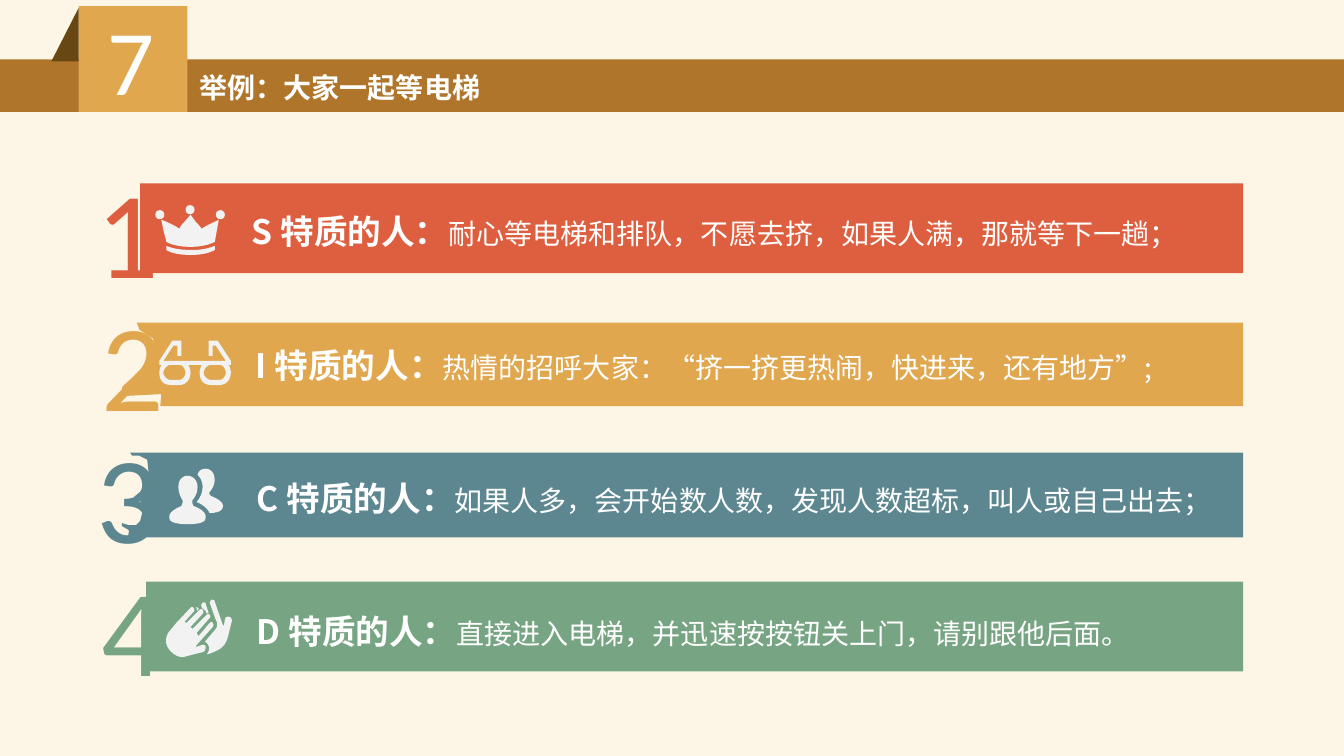
import pptx
import pptx.dml.color
import pptx.enum.shapes
import pptx.enum.text
import pptx.oxml.ns
import pptx.util
from lxml import etree

PX = 9144  # EMU per px, 100 px to the inch
SHAPE = pptx.enum.shapes.MSO_SHAPE
LATIN, CJK = "Calibri", "Noto Sans CJK SC"
WHITE, ICON = "FFFFFF", "F2F2F2"
CURVE_STEPS = 6

# Icon outlines, in px from the icon's top left
CROWN = """
M30 4 C30 -2 39 -2 39 4 C39 10 30 10 30 4 Z M0 9 C0 3 9 3 9 9 C9 15 0 15 0 9 Z
M60 9 C60 3 69 3 69 9 C69 15 60 15 60 9 Z
M6 14 L11 16 C15 18 20 20 24 23 C25 20 27 18 29 16 L35 9 L40 16 C42 18 44 20 46 23
C50 20 55 18 59 16 L63 14 L62 19 C61 25 60 31 59 36 C59 36 50 41 35 41
C19 41 11 36 11 36 C10 31 8 25 7 19 Z
M11 40 C18 43 27 44 35 44 C42 44 48 44 59 40 L59 44 C59 44 52 49 35 49 C17 49 11 44 11 44 Z"""
GLASSES = """
M4 32 C4 35 8 39 11 39 L20 39 C23 39 26 35 26 32 C26 28 23 24 20 24 L11 24 C8 24 4 28 4 32 Z
M44 32 C44 35 48 39 51 39 L60 39 C63 39 66 35 66 32 C66 28 63 24 60 24 L51 24 C48 24 44 28 44 32 Z
M4 20 L66 20 L56 5 L53 5 L53 15 L49 15 L49 0 L58 0 L71 20 L71 24 L69 24
C70 27 71 29 71 32 C71 39 66 44 60 44 L51 44 C44 44 40 39 40 32 C40 29 41 27 42 24
L29 24 C30 27 31 29 31 32 C31 39 26 44 20 44 L11 44 C4 44 0 39 0 32 C0 29 1 27 2 24
L0 24 L0 20 L13 0 L22 0 L22 15 L18 15 L18 5 L14 5 Z"""
PEOPLE = """
M24 37 C24 36 22 35 23 31 C26 28 28 23 28 18 C28 11 23 7 18 7 C13 7 9 11 9 18
C9 23 11 28 13 31 C14 34 12 36 12 37 C7 39 0 43 0 47 L0 49 C0 54 10 55 18 55
C27 55 36 54 36 49 L36 47 C36 43 30 39 24 37 Z
M41 27 C41 26 39 26 40 23 C43 20 45 15 45 11 C45 4 41 0 36 0 C32 0 29 2 28 6
C31 9 33 13 33 18 C33 24 30 30 27 33 C32 35 38 39 40 44 C47 44 53 42 53 38
L53 36 C53 33 47 29 41 27 Z"""
HANDS = """
M37 9 C39 10 41 12 41 14 L43 13 L40 4 C40 3 39 2 37 3 C36 4 35 5 36 7 Z
M31 8 C31 9 31 10 32 11 L33 9 C33 8 31 7 30 8 Z
M62 37 L66 21 C66 19 65 17 63 17 C61 16 59 18 59 20 L58 26 L57 25 L49 2
C49 0 47 0 46 0 C45 1 44 2 44 3 L50 20 C52 23 52 26 50 29 L39 42
C41 42 42 44 43 46 C44 49 43 52 41 54 C43 54 46 53 50 51 C57 48 60 44 62 37 Z
M40 47 C40 45 38 44 36 45 L30 47 L31 45 L47 27 C48 26 48 24 47 23 C47 22 45 22 44 23
L33 36 C32 35 32 34 31 33 L44 18 C45 17 45 16 44 15 C43 14 42 14 41 15 L27 29 L25 27
L37 14 C38 13 38 11 37 10 C36 9 35 9 34 10 L21 23 L19 22 L28 12 C29 11 29 9 28 8
C27 7 26 7 25 8 L10 24 L6 29 C0 35 -2 43 5 51 C11 57 17 58 21 56 L37 52 C39 52 40 49 40 47 Z"""

# Left edges cut around the digits 2 and 3, from bottom to top
NOTCH_2 = """L73 83 L74 71 L36 73 L35 64 L47 53 L67 33 L66 16 L52 7 C52 4 50 3 50 0"""
NOTCH_3 = """L41 84 L42 77 L35 73 L35 70 L42 72 L49 72 L53 68 L55 60 L55 50 L47 44
L53 39 L62 25 L60 7 L52 3 L45 3 L43 0"""


def color(value):
    return pptx.dml.color.RGBColor.from_string(value)


def paint(sp, fill):
    sp.shadow.inherit = False
    sp.fill.solid()
    sp.fill.fore_color.rgb = color(fill)
    sp.line.fill.background()
    return sp


def preset(s, kind, x, y, w, h, fill):
    return paint(s.shapes.add_shape(kind, x * PX, y * PX, w * PX, h * PX), fill)


def outline(s, x, y, commands, fill):
    """Draw M, L, C and Z commands, with curves sampled as short lines."""
    builder, pen = None, None
    for word in commands.replace("M", "|M").replace("L", "|L").replace("C", "|C").replace("Z", "|Z").split("|"):
        word = word.strip()
        if not word:
            continue
        n = [int(v) for v in word[1:].split()]
        pts = [((x + a) * PX, (y + b) * PX) for a, b in zip(n[::2], n[1::2])]
        if word[0] == "M":
            if builder is None:
                builder = s.shapes.build_freeform(*pts[0], scale=1.0)
            else:
                builder.move_to(*pts[0])
        elif word[0] == "L":
            builder.add_line_segments(pts, close=False)
        elif word[0] == "C":
            curve = [pen] + pts
            steps = [i / CURVE_STEPS for i in range(1, CURVE_STEPS + 1)]
            pts = [tuple(sum(k * c[axis] for k, c in zip(
                ((1 - t) ** 3, 3 * t * (1 - t) ** 2, 3 * t * t * (1 - t), t ** 3), curve))
                for axis in (0, 1)) for t in steps]
            builder.add_line_segments(pts, close=False)
        else:
            builder.add_line_segments([], close=True)
        pen = pts[-1] if pts else pen
    return paint(builder.convert_to_shape(), fill)


def write(sp, runs, font, fill, wrap=False):
    """Fill a box with one paragraph of (text, size, bold) runs."""
    tf = sp.text_frame
    tf.word_wrap = wrap
    tf.auto_size = pptx.enum.text.MSO_AUTO_SIZE.SHAPE_TO_FIT_TEXT
    tf.vertical_anchor = pptx.enum.text.MSO_ANCHOR.TOP
    p = tf.paragraphs[0]
    p.alignment = pptx.enum.text.PP_ALIGN.LEFT
    p.font.name = font
    p.font.color.rgb = color(fill)
    qn = pptx.oxml.ns.qn
    etree.SubElement(p._p.pPr.find(qn("a:defRPr")), qn("a:ea")).set("typeface", font)
    for text, size, bold in runs:
        r = p.add_run()
        r.text = text
        r.font.size = pptx.util.Pt(size)
        r.font.bold = bold


def textbox(s, x, y, w, h, *args, **kwargs):
    write(s.shapes.add_textbox(x * PX, y * PX, w * PX, h * PX), *args, **kwargs)


def header(s, x, y, w, number, title):
    # Band, number tab and its fold
    preset(s, SHAPE.RECTANGLE, x, y + 59, w, 52, "AF762B")
    preset(s, SHAPE.RECTANGLE, x + 78, y + 6, 108, 105, "E0A74E")
    fold = preset(s, SHAPE.RIGHT_TRIANGLE, x + 51, y + 8, 27, 53, "684712")
    fold._element.spPr.xfrm.set("flipH", "1")
    textbox(s, x + 97, y - 2, 71, 121, [(number, 66, False)], LATIN, WHITE)
    # Title, brought in front of the band
    sp = s.shapes.title
    sp._element.getparent().append(sp._element)
    sp.left, sp.top, sp.width, sp.height = [v * PX for v in (x + 188, y + 65, 301, 44)]
    write(sp, [(title, 20, True)], CJK, WHITE)


def trait_row(s, x, y, w, h, fill, indent, notch, digit, digit_at, icon, icon_at, text_box, head, body):
    if notch:
        outline(s, x, y, f"M{w} 0 L{w} {h} {notch} Z", fill)
    else:
        preset(s, SHAPE.RECTANGLE, x + indent, y, w - indent, h, fill)
    textbox(s, x + digit_at[0], y + digit_at[1], 83, 158, [(digit, 88, False)], LATIN, fill)
    text_x, text_y, text_w = text_box
    textbox(s, x + text_x, y + text_y, text_w, 50,
            [(head + " 特质的人：", 24, True), (body, 20, False)], CJK, WHITE, wrap=True)
    outline(s, x + icon_at[0], y + icon_at[1], icon, ICON)


# top, height, colour, indent, notch, digit and place, icon and place, text box, words
ROWS = [
    (182, 89, "DE5F3F", 53, "", "1", (0, -33), CROWN, (68, 22), (154, 22, 943),
     "S", "耐心等电梯和排队，不愿去挤，如果人满，那就等下一趟；"),
    (320, 83, "E0A74E", 0, NOTCH_2, "2", (5, -39), GLASSES, (72, 18), (158, 17, 939),
     "I", "热情的招呼大家：“挤一挤更热闹，快进来，还有地方”;"),
    (449, 84, "5C8790", 0, NOTCH_3, "3", (0, -37), PEOPLE, (82, 16), (159, 20, 974),
     "C", "如果人多，会开始数人数，发现人数超标，叫人或自己出去；"),
    (577, 89, "77A483", 59, "", "4", (5, -33), HANDS, (78, 18), (159, 24, 943),
     "D", "直接进入电梯，并迅速按按钮关上门，请别跟他后面。"),
]


def main():
    prs = pptx.Presentation()
    prs.slide_width, prs.slide_height = 1333 * PX, 750 * PX
    s = prs.slides.add_slide(prs.slide_layouts[5])
    s.background.fill.solid()
    s.background.fill.fore_color.rgb = color("FDF6E6")
    header(s, 0, 0, 1333, "7", "举例：大家一起等电梯")
    for top, height, *parts in ROWS:
        trait_row(s, 86, top, 1147, height, *parts)
    prs.save("out.pptx")


if __name__ == "__main__":
    main()
